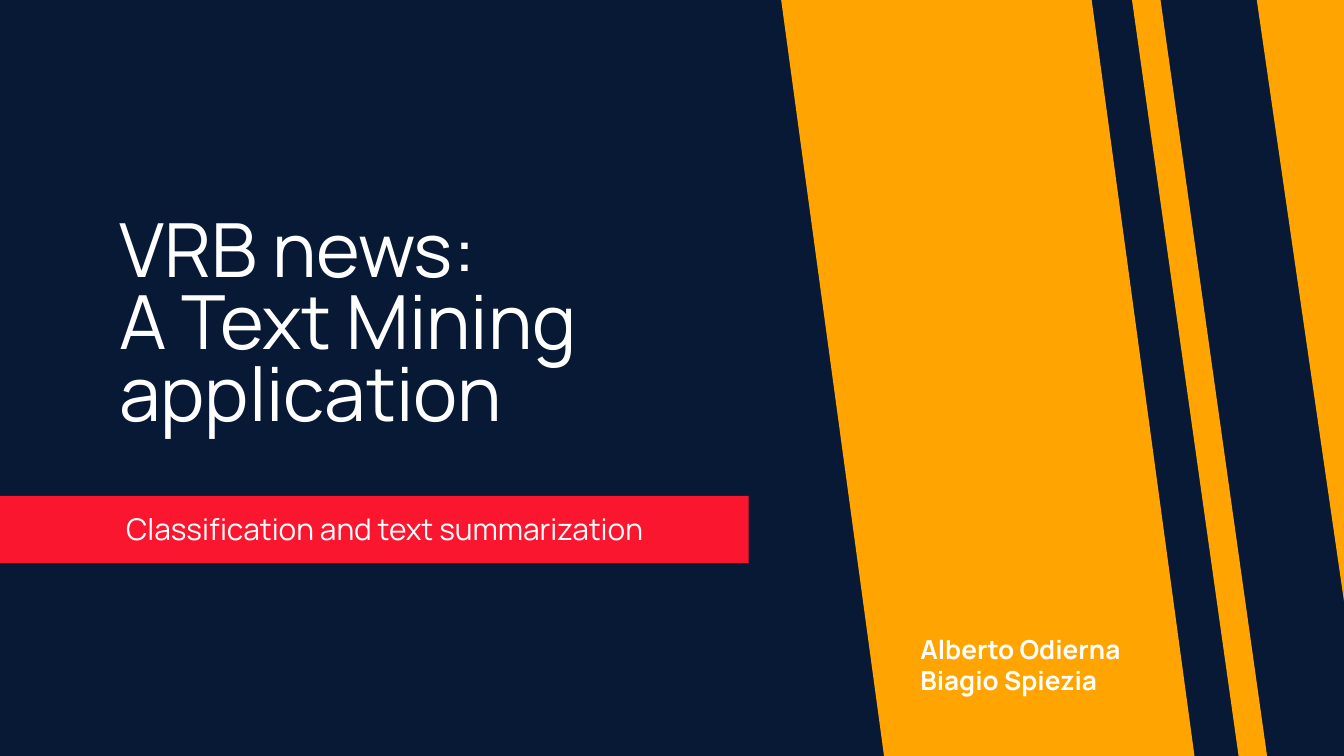
from dataclasses import dataclass

from pptx import Presentation
from pptx.dml.color import RGBColor
from pptx.enum.shapes import MSO_SHAPE
from pptx.enum.text import MSO_ANCHOR, PP_ALIGN
from pptx.util import Inches, Pt

NAVY, RED, ORANGE, WHITE = "081935", "FA162E", "FFA400", "FFFFFF"
FONT = "Manrope"


@dataclass(frozen=True)
class Box:
    left: float
    top: float
    width: float
    height: float

    def lengths(self) -> tuple:
        return tuple(Inches(v) for v in (self.left, self.top, self.width, self.height))


@dataclass(frozen=True)
class Stripe:
    box: Box
    slant: float


@dataclass(frozen=True)
class TextBlock:
    box: Box
    lines: tuple
    size: int
    bold: bool = False
    line_spacing: float = 1.0


STRIPES = (
    Stripe(Box(5.81, -0.02, 3.08, 5.66), 0.25),
    Stripe(Box(8.42, -0.02, 1.01, 5.66), 0.79),
)
CORNER = ((9.35, -0.01), (10.02, 4.61), (10.01, -0.01))
BANNER = Box(0, 3.69, 5.57, 0.5)

TITLE = TextBlock(
    Box(0.79, 1.54, 5.18, 2.05),
    ("VRB news:", "A Text Mining application"),
    40,
    line_spacing=0.8,
)
SUBTITLE = TextBlock(
    Box(0.84, 3.7, 5.27, 0.41), ("Classification and text summarization",), 16
)
AUTHORS = TextBlock(
    Box(6.75, 4.61, 1.8, 0.63), ("Alberto Odierna", "Biagio Spiezia"), 14, bold=True
)


def paint(fill, color: str) -> None:
    fill.solid()
    fill.fore_color.rgb = RGBColor.from_string(color)


def finish(shape, color: str) -> None:
    paint(shape.fill, color)
    shape.line.fill.background()
    shape.shadow.inherit = False


def add_banner(slide, box: Box) -> None:
    finish(slide.shapes.add_shape(MSO_SHAPE.RECTANGLE, *box.lengths()), RED)


def add_stripe(slide, stripe: Stripe) -> None:
    shape = slide.shapes.add_shape(MSO_SHAPE.PARALLELOGRAM, *stripe.box.lengths())
    shape.adjustments[0] = stripe.slant
    shape._element.spPr.xfrm.set("flipH", "1")
    finish(shape, ORANGE)


def add_corner(slide, points: tuple) -> None:
    start, *others = [(Inches(x), Inches(y)) for x, y in points]
    builder = slide.shapes.build_freeform(*start)
    builder.add_line_segments(others, close=True)
    finish(builder.convert_to_shape(), ORANGE)


def add_text(slide, block: TextBlock) -> None:
    frame = slide.shapes.add_textbox(*block.box.lengths()).text_frame
    frame.word_wrap = True
    frame.vertical_anchor = MSO_ANCHOR.TOP
    frame.margin_left = frame.margin_right = Inches(0.1)
    frame.margin_top = frame.margin_bottom = Inches(0.1)
    for index, line in enumerate(block.lines):
        paragraph = frame.add_paragraph() if index else frame.paragraphs[0]
        paragraph.alignment = PP_ALIGN.LEFT
        paragraph.line_spacing = block.line_spacing
        run = paragraph.add_run()
        run.text = line
        run.font.name = FONT
        run.font.size = Pt(block.size)
        run.font.bold = block.bold
        run.font.color.rgb = RGBColor.from_string(WHITE)


def main() -> None:
    presentation = Presentation()
    presentation.slide_width = Inches(10)
    presentation.slide_height = Inches(10 * 9 / 16)
    slide = presentation.slides.add_slide(presentation.slide_layouts[6])
    paint(slide.background.fill, NAVY)
    add_banner(slide, BANNER)
    add_text(slide, TITLE)
    add_text(slide, SUBTITLE)
    for stripe in STRIPES:
        add_stripe(slide, stripe)
    add_corner(slide, CORNER)
    add_text(slide, AUTHORS)
    presentation.save("out.pptx")


if __name__ == "__main__":
    main()
